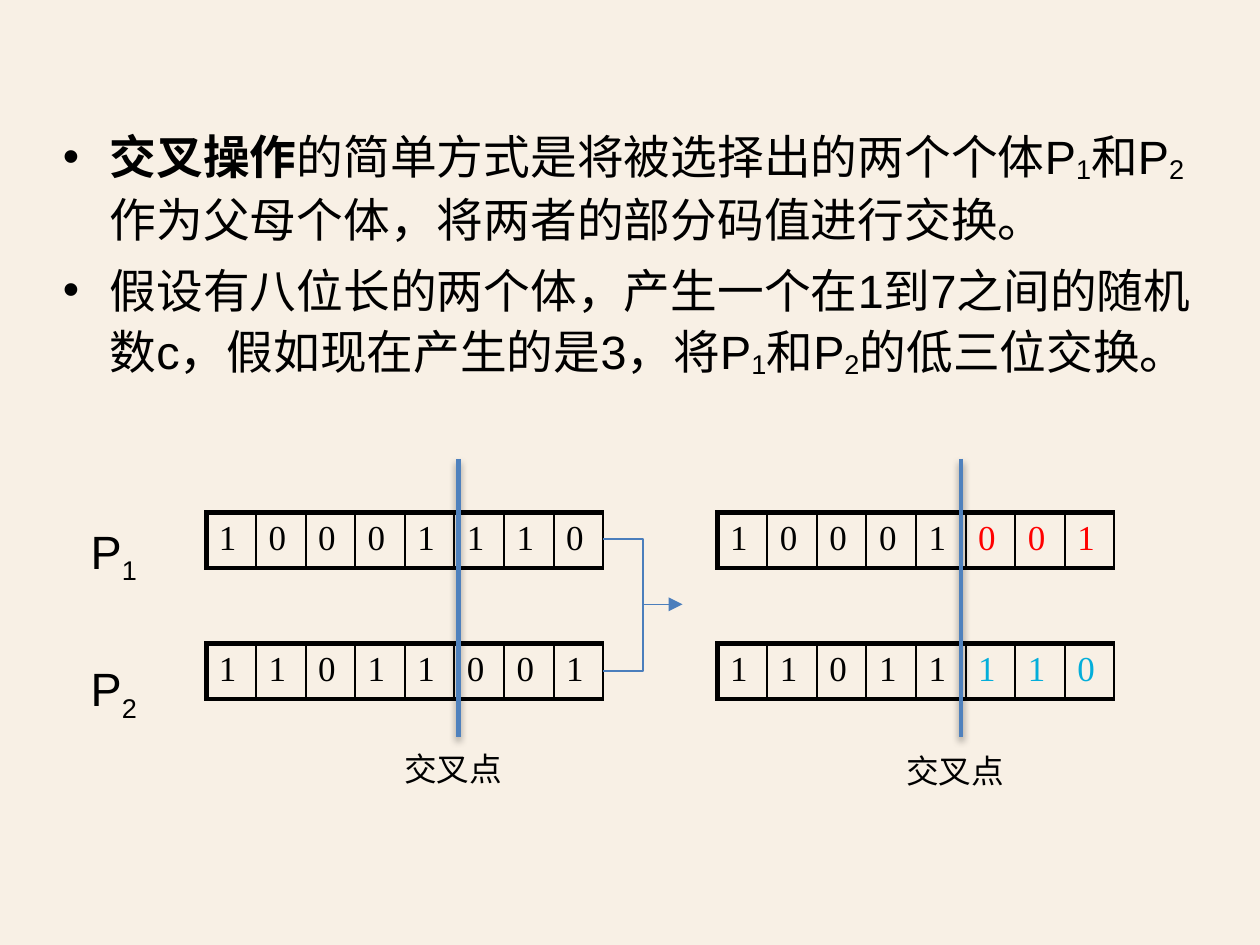
from lxml import etree
from pptx import Presentation
from pptx.dml.color import RGBColor
from pptx.enum.shapes import MSO_CONNECTOR
from pptx.oxml.ns import qn
from pptx.util import Cm, Pt

STRAIGHT, ELBOW = MSO_CONNECTOR.STRAIGHT, MSO_CONNECTOR.ELBOW
COLORS = {"paper": "F8F0E5", "ink": "000000", "red": "FF0000",
          "cyan": "04AEDA", "thin": "4B7EBC", "cut": "4F81BD"}
CELL_WIDTH, ROW_HEIGHT = 0.75, 0.84
ROW_TOPS = (7.75, 9.73)
CUT_BIT = 5


def rgb(name):
    return RGBColor.from_string(COLORS[name])


def child(parent, tag, **attributes):
    return etree.SubElement(parent, qn(tag), attributes)


def add_box(page, left, top, width, height, margins=(0.19, 0.1)):
    box = page.shapes.add_textbox(Cm(left), Cm(top), Cm(width), Cm(height))
    frame = box.text_frame
    frame.word_wrap = True
    frame.margin_left = frame.margin_right = Cm(margins[0])
    frame.margin_top = frame.margin_bottom = Cm(margins[1])
    return frame


def style(para, size, font="Arial", color="ink"):
    para.font.size, para.font.name = Pt(size), font
    para.font.color.rgb = rgb(color)


def add_spans(para, parts, drop):
    """Write (text, kind) parts; kind is "", "bold" or "sub"."""
    for text, kind in parts:
        span = para.add_run()
        span.text = text
        if kind == "bold":
            span.font.bold = True
        elif kind == "sub":
            span.font._element.set("baseline", str(drop * 1000))


def add_bullets(page, items):
    frame = add_box(page, 0.76, 1.75, 17.5, 5.1)
    for index, parts in enumerate(items):
        para = frame.add_paragraph() if index else frame.paragraphs[0]
        para.line_spacing, para.space_before = Pt(26.6), Pt(4)
        props = para._p.get_or_add_pPr()
        props.set("marL", str(Cm(0.71)))
        props.set("indent", str(-Cm(0.71)))
        child(props, "a:buFont", typeface="Arial")
        child(props, "a:buChar", char="•")
        style(para, 20)
        add_spans(para, parts, -10)


def add_parent_label(page, number, top):
    para = add_box(page, 1.37, top, 1.2, 0.9, (0, 0)).paragraphs[0]
    style(para, 20)
    add_spans(para, [("P", ""), (number, "sub")], -25)


def add_caption(page, left, top):
    para = add_box(page, left, top, 3.6, 0.86).paragraphs[0]
    para.text = "交叉点"
    style(para, 14, "Noto Sans CJK KR")
    fonts = para.font._element
    child(fonts, "a:ea", typeface="Noto Sans CJK KR")


def set_borders(cell, widths):
    props = cell._tc.get_or_add_tcPr()
    for position, (side, width) in enumerate(widths.items()):
        line = etree.Element(qn("a:ln" + side), w=str(Pt(width)))
        fill = child(line, "a:solidFill")
        child(fill, "a:srgbClr", val=COLORS["ink"])
        props.insert(position, line)


def add_bit_row(page, left, top, bits, tail_color="ink"):
    table = page.shapes.add_table(
        1, len(bits), Cm(left), Cm(top),
        Cm(CELL_WIDTH * len(bits)), Cm(ROW_HEIGHT)).table
    table.first_row = table.horz_banding = False
    for index, bit in enumerate(bits):
        cell = table.cell(0, index)
        cell.margin_left = cell.margin_right = Cm(0.19)
        cell.margin_top = cell.margin_bottom = Cm(0.1)
        cell.fill.background()
        cell.text = bit
        style(cell.text_frame.paragraphs[0], 15, "Times New Roman",
              tail_color if index >= CUT_BIT else "ink")
        set_borders(cell, {"L": 1 if index else 2.25, "R": 1,
                           "T": 2.25, "B": 2.25})


def add_line(page, kind, start, end, color, width):
    line = page.shapes.add_connector(kind, *(Cm(v) for v in start + end))
    line.line.color.rgb, line.line.width = rgb(color), Pt(width)
    effects = child(line._element.spPr, "a:effectLst")
    return line, effects


def add_merge_arrow(page):
    arrow, _ = add_line(page, ELBOW, (9.12, 8.15), (10.32, 9.14), "thin", 0.75)
    child(arrow.line._get_or_add_ln(), "a:tailEnd", type="triangle")
    branch, _ = add_line(page, ELBOW, (9.12, 10.15), (9.72, 9.14), "thin", 0.75)
    branch._element.spPr.find(qn("a:prstGeom")).set("prst", "bentConnector2")


def add_cut(page, x):
    _, effects = add_line(page, STRAIGHT, (x, 6.94), (x, 11.15), "cut", 2)
    shadow = child(effects, "a:outerShdw", blurRad=str(Pt(3.1)),
                   dist=str(Pt(1.6)), dir="5400000", rotWithShape="0")
    tone = child(shadow, "a:srgbClr", val=COLORS["ink"])
    child(tone, "a:alpha", val="38000")


def main():
    deck = Presentation()
    deck.slide_width, deck.slide_height = Cm(19.05), Cm(14.29)
    page = deck.slides.add_slide(deck.slide_layouts[6])
    page.background.fill.solid()
    page.background.fill.fore_color.rgb = rgb("paper")

    # Explanation
    add_bullets(page, [
        [("交叉操作", "bold"), ("的简单方式是将被选择出的两个个体P", ""),
         ("1", "sub"), ("和P", ""), ("2", "sub"),
         ("作为父母个体，将两者的部分码值进行交换。", "")],
        [("假设有八位长的两个体，产生一个在1到7之间的随机数c，"
          "假如现在产生的是3，将P", ""),
         ("1", "sub"), ("和P", ""), ("2", "sub"), ("的低三位交换。", "")],
    ])

    # Parents on the left, children on the right
    add_parent_label(page, "1", 7.9)
    add_parent_label(page, "2", 9.98)
    pairs = [("10001110", "10001001", "red"), ("11011001", "11011110", "cyan")]
    for top, (parent, offspring, color) in zip(ROW_TOPS, pairs):
        add_bit_row(page, 3.12, top, parent)
        add_bit_row(page, 10.85, top, offspring, color)

    # Arrow and crossover points
    add_merge_arrow(page)
    add_cut(page, 6.93)
    add_cut(page, 14.53)
    add_caption(page, 5.92, 11.23)
    add_caption(page, 13.51, 11.25)

    deck.save("out.pptx")


if __name__ == "__main__":
    main()
